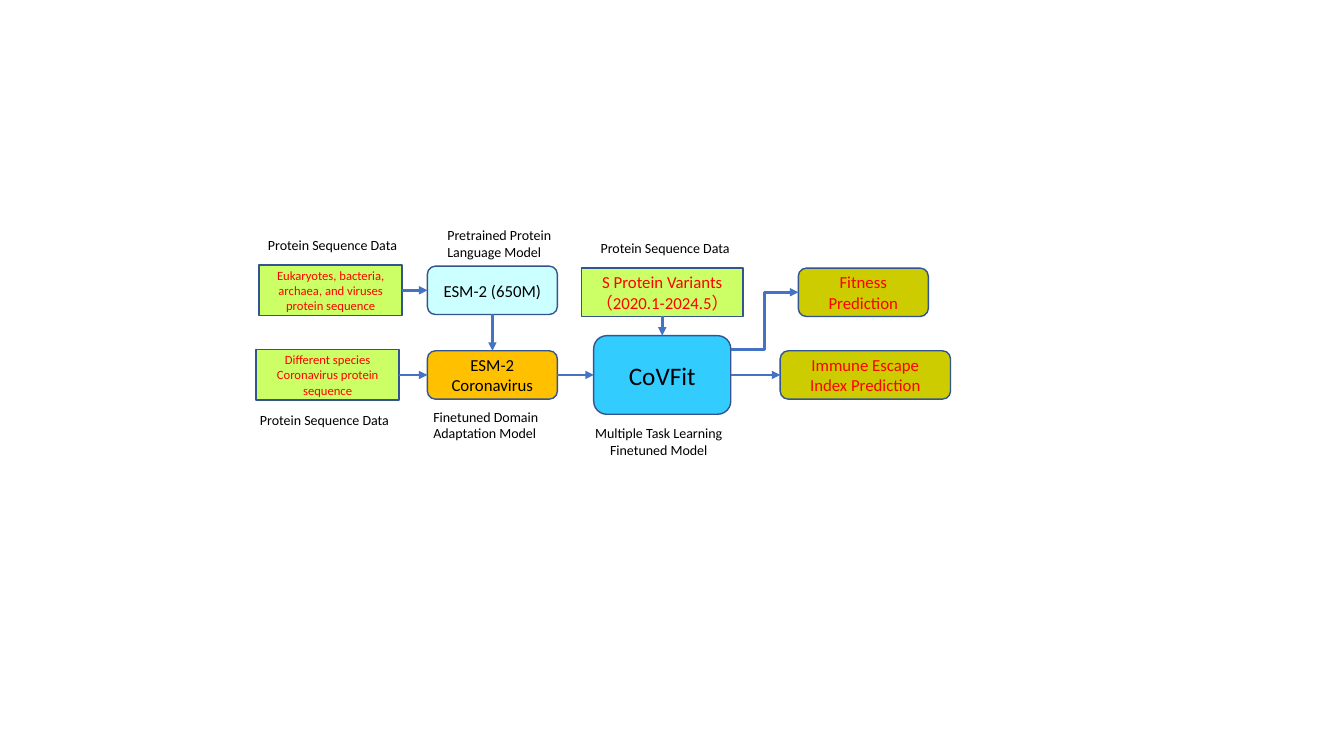
import pptx
import pptx.util
import pptx.dml.color
import pptx.enum.shapes
import pptx.enum.text
import pptx.oxml
import pptx.oxml.ns

COLS, ROWS = 133.33, 75
TOP, LEFT, BOTTOM, RIGHT = range(4)
RECT = pptx.enum.shapes.MSO_SHAPE.RECTANGLE
ROUND = pptx.enum.shapes.MSO_SHAPE.ROUNDED_RECTANGLE
WIRE = pptx.enum.shapes.MSO_CONNECTOR
ALIGN = pptx.enum.text.PP_ALIGN


def hue(code):
    return pptx.dml.color.RGBColor.from_string(code)


class Chart:
    font = "Calibri"
    edge = "325491"
    link = "4472C4"
    black = "000000"
    red = "FF0000"
    lime = "CCFF66"
    olive = "CCCC00"

    def __init__(self, deck):
        self.deck = deck
        self.slide = deck.slides.add_slide(deck.slide_layouts[6])

    def x(self, cols):
        return round(self.deck.slide_width * cols / COLS)

    def y(self, rows):
        return round(self.deck.slide_height * rows / ROWS)

    def area(self, left, top, width, height):
        return self.x(left), self.y(top), self.x(width), self.y(height)

    def words(self, frame, text, size, color, align):
        frame.text = text
        for para in frame.paragraphs:
            para.alignment = align
            para.font.name = self.font
            para.font.size = pptx.util.Pt(size)
            para.font.color.rgb = hue(color)

    def box(self, kind, mid, row, width, height, text, fill, size=12, color=black):
        spot = self.area(mid - width / 2, row - height / 2, width, height)
        shape = self.slide.shapes.add_shape(kind, *spot)
        shape.shadow.inherit = False
        shape.fill.solid()
        shape.fill.fore_color.rgb = hue(fill)
        shape.line.color.rgb = hue(self.edge)
        shape.line.width = pptx.util.Pt(1)
        frame = shape.text_frame
        frame.word_wrap = True
        frame.vertical_anchor = pptx.enum.text.MSO_ANCHOR.MIDDLE
        self.words(frame, text, size, color, ALIGN.CENTER)
        return shape

    def label(self, left, top, width, height, text, align=ALIGN.LEFT):
        shape = self.slide.shapes.add_textbox(*self.area(left, top, width, height))
        shape.text_frame.word_wrap = False
        self.words(shape.text_frame, text, 10, self.black, align)

    def arrow(self, kind, start):
        wire = self.slide.shapes.add_connector(kind, *start, *start)
        wire.line.color.rgb = hue(self.link)
        wire.line.width = pptx.util.Pt(2)
        props = wire.element.spPr
        space = pptx.oxml.ns.nsdecls("a")
        tip = pptx.oxml.parse_xml(f'<a:tailEnd {space} type="triangle"/>')
        props.find(pptx.oxml.ns.qn("a:ln")).append(tip)
        props.append(pptx.oxml.parse_xml(f"<a:effectLst {space}/>"))
        return wire

    def join(self, first, out, last, into):
        wire = self.arrow(WIRE.STRAIGHT, (0, 0))
        wire.begin_connect(first, out)
        wire.end_connect(last, into)

    def bend(self, col, row, last, into):
        wire = self.arrow(WIRE.ELBOW, (self.x(col), self.y(row)))
        wire.end_connect(last, into)


def main():
    deck = pptx.Presentation()
    deck.slide_width = pptx.util.Inches(13.33)
    deck.slide_height = pptx.util.Inches(7.5)
    flow = Chart(deck)
    high, low, side = 28.8, 37.2, 29
    model, core = 48.85, 65.7

    life = flow.box(RECT, 32.8, high, 14.2, 5,
                    "Eukaryotes, bacteria, archaea, and viruses protein sequence",
                    flow.lime, 9, flow.red)
    virus = flow.box(RECT, 32.5, low, 14.2, 5,
                     "Different species\nCoronavirus protein sequence",
                     flow.lime, 9, flow.red)
    base = flow.box(ROUND, model, high, 12.9, 4.8, "ESM-2 (650M)", "CCFFFF")
    tuned = flow.box(ROUND, model, low, 12.9, 4.8, "ESM-2\nCoronavirus", "FFC000")
    spike = flow.box(RECT, core, side, 16, 4.8,
                     "S Protein Variants\n（2020.1-2024.5）", flow.lime, 12, flow.red)
    covfit = flow.box(ROUND, core, low, 13.6, 7.8, "CoVFit", "33CCFF", 18)
    fitness = flow.box(ROUND, 85.65, side, 12.9, 4.8, "Fitness Prediction",
                       flow.olive, 12, flow.red)
    escape = flow.box(ROUND, 85.85, low, 16.9, 4.8, "Immune Escape Index Prediction",
                      flow.olive, 12, flow.red)

    for first, out, last, into in (
        (life, RIGHT, base, LEFT),
        (virus, RIGHT, tuned, LEFT),
        (base, BOTTOM, tuned, TOP),
        (tuned, RIGHT, covfit, LEFT),
        (spike, BOTTOM, covfit, TOP),
        (covfit, RIGHT, escape, LEFT),
    ):
        flow.join(first, out, last, into)
    flow.bend(72.5, 34.7, fitness, LEFT)

    for left, top in ((25.6, 23), (24.8, 40.3), (58.6, 23.3)):
        flow.label(left, top, 15, 2.7, "Protein Sequence Data")
    flow.label(43.4, 22, 12.9, 4.4, "Pretrained Protein\vLanguage Model")
    flow.label(42, 40, 12.7, 4.4, "Finetuned Domain\vAdaptation Model")
    flow.label(57.9, 41.6, 14.9, 4.4, "Multiple Task Learning\vFinetuned Model",
               ALIGN.CENTER)

    deck.save("out.pptx")


if __name__ == "__main__":
    main()
